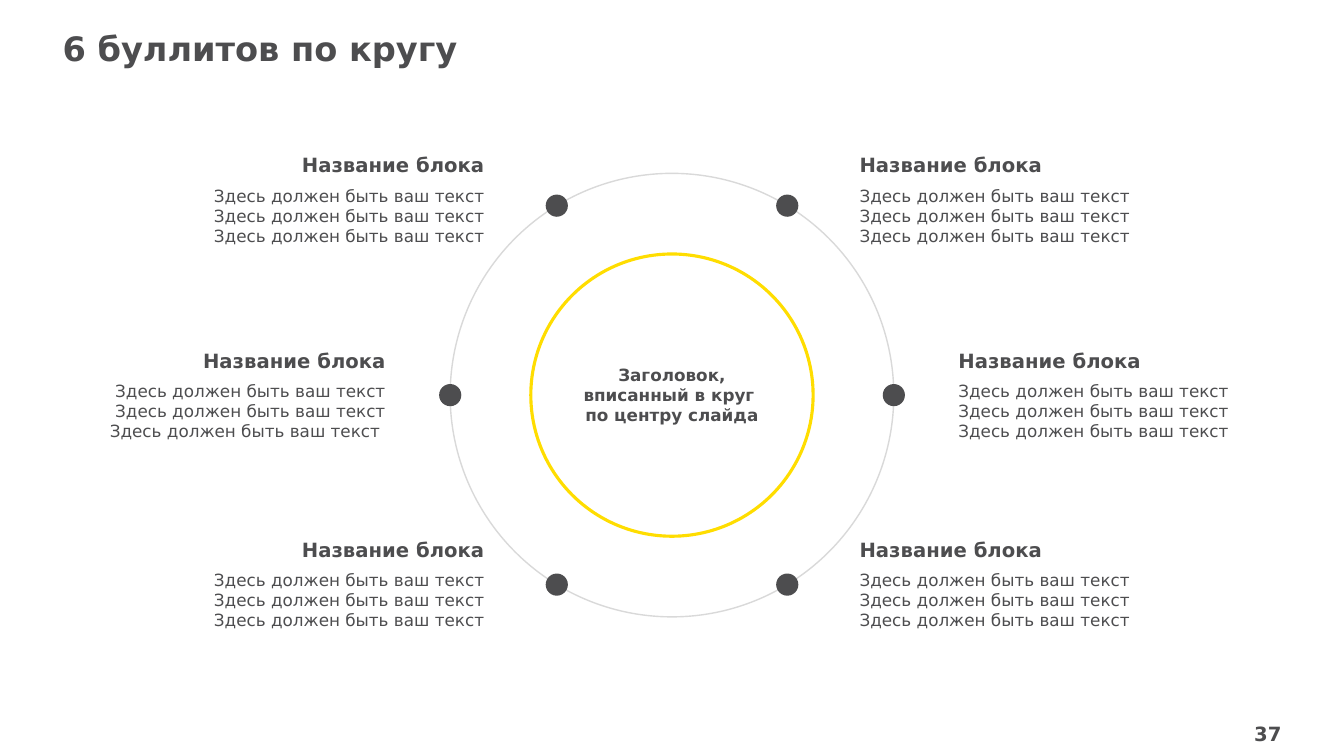
import copy
import math

import pptx
import pptx.dml.color
import pptx.enum.shapes
import pptx.enum.text
import pptx.oxml.ns
import pptx.util

TITLE = "6 буллитов по кругу"
CENTRE_TEXT = "Заголовок, вписанный в круг \vпо центру слайда"
PAGE_NUMBER = "37"
BLOCK_NAME = "Название блока"
LINE = "Здесь должен быть ваш текст"
BODY = "\v".join([LINE] * 3)

# side (-1 left, 1 right), row (-1 top, 0 middle, 1 bottom), name, body
BLOCKS = [
    (1, -1, BLOCK_NAME, BODY.replace("\v", " \v", 1)),
    (1, 0, BLOCK_NAME, BODY),
    (1, 1, BLOCK_NAME, BODY),
    (-1, -1, BLOCK_NAME, BODY),
    (-1, 1, BLOCK_NAME, BODY),
    (-1, 0, BLOCK_NAME, BODY + " "),
]

COLORS = {"ink": "4D4D4F", "ring": "D9D9D9", "accent": "FFDD00"}
FONT = "DejaVu Sans"
WIDTH, HEIGHT = 13.33, 7.5
CENTRE_X, CENTRE_Y = WIDTH / 2, 3.92
RING_RADIUS, HUB_RADIUS, DOT_RADIUS = 2.2, 1.4, 0.11
DOT_ANGLE = math.radians(58.7)
BLOCK_WIDTH, BLOCK_HEIGHT = 3.19, 0.94
BLOCK_GAP = {-1: 1.86, 0: 2.84, 1: 1.86}   # from the centre line to the text
BLOCK_TOP = {-1: 1.51, 0: 3.45, 1: 5.32}

ALIGN = pptx.enum.text.PP_ALIGN
ANCHOR = pptx.enum.text.MSO_ANCHOR
inches = pptx.util.Inches


def rgb(name):
    return pptx.dml.color.RGBColor.from_string(COLORS[name])


def write(frame, paragraphs, align, anchor=ANCHOR.MIDDLE):
    """Fill a frame with (text, size, bold) paragraphs, without margins."""
    frame.text = "\n".join(text for text, _, _ in paragraphs)
    frame.word_wrap = True
    frame.vertical_anchor = anchor
    frame.margin_left = frame.margin_top = 0
    frame.margin_right = frame.margin_bottom = 0
    for paragraph, (_, size, bold) in zip(frame.paragraphs, paragraphs):
        paragraph.alignment = align
        if len(paragraphs) > 1:
            paragraph.space_after = pptx.util.Pt(6)
        for run in paragraph.runs:
            run.font.name = FONT
            run.font.size = pptx.util.Pt(size)
            run.font.bold = bold
            run.font.color.rgb = rgb("ink")
        # Line breaks take the run format, so that line heights stay even
        for line_break in paragraph._p.findall(pptx.oxml.ns.qn("a:br")):
            line_break.append(copy.deepcopy(paragraph.runs[0]._r.rPr))


def add_text(slide, box, paragraphs, align):
    area = slide.shapes.add_textbox(*map(inches, box))
    write(area.text_frame, paragraphs, align)


def add_circle(slide, x, y, radius, fill=None, line=None, weight=1):
    circle = slide.shapes.add_shape(
        pptx.enum.shapes.MSO_SHAPE.OVAL,
        *map(inches, (x - radius, y - radius, 2 * radius, 2 * radius)))
    circle.shadow.inherit = False
    if fill:
        circle.fill.solid()
        circle.fill.fore_color.rgb = rgb(fill)
    else:
        circle.fill.background()
    if line:
        circle.line.color.rgb = rgb(line)
        circle.line.width = pptx.util.Pt(weight)
    else:
        circle.line.fill.background()
    return circle


def main():
    deck = pptx.Presentation()
    deck.slide_width, deck.slide_height = inches(WIDTH), inches(HEIGHT)
    slide = deck.slides.add_slide(deck.slide_layouts[5])

    title = slide.shapes.title
    title.left, title.top = inches(0.62), inches(0.28)
    title.width, title.height = inches(10.94), inches(0.4)
    write(title.text_frame, [(TITLE, 24, True)], ALIGN.LEFT, ANCHOR.TOP)
    add_text(slide, (12.14, 7.16, 0.57, 0.24), [(PAGE_NUMBER, 14, True)], ALIGN.RIGHT)

    add_circle(slide, CENTRE_X, CENTRE_Y, RING_RADIUS, line="ring")
    hub = add_circle(slide, CENTRE_X, CENTRE_Y, HUB_RADIUS, line="accent", weight=2.25)
    write(hub.text_frame, [(CENTRE_TEXT, 12, True)], ALIGN.CENTER)

    for side, row, name, body in BLOCKS:
        left = CENTRE_X + side * BLOCK_GAP[row] - (BLOCK_WIDTH if side < 0 else 0)
        add_text(slide, (left, BLOCK_TOP[row], BLOCK_WIDTH, BLOCK_HEIGHT),
                 [(name, 14, True), (body, 12, False)],
                 ALIGN.RIGHT if side < 0 else ALIGN.LEFT)
        add_circle(slide,
                   CENTRE_X + side * RING_RADIUS * math.cos(row * DOT_ANGLE),
                   CENTRE_Y + RING_RADIUS * math.sin(row * DOT_ANGLE),
                   DOT_RADIUS, fill="ink")

    deck.save("out.pptx")


if __name__ == "__main__":
    main()
